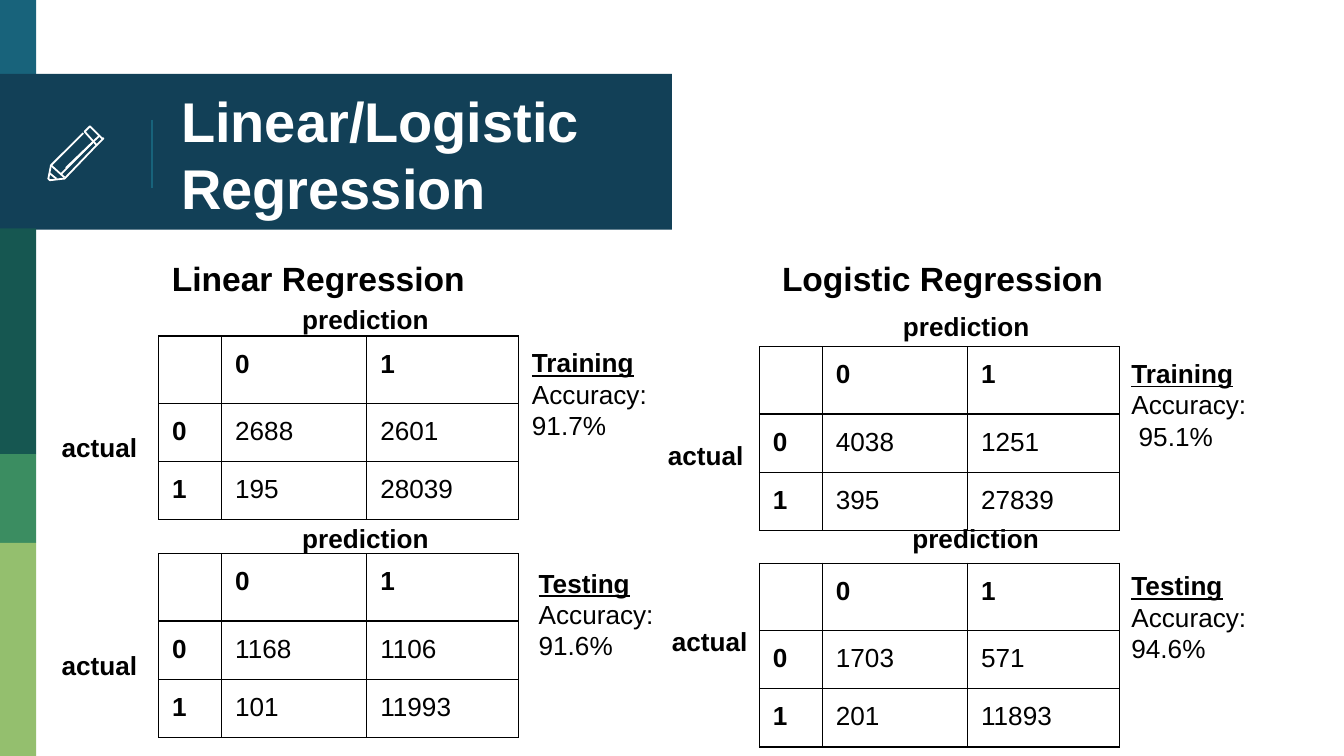
from dataclasses import dataclass

from lxml.etree import SubElement
from pptx import Presentation
from pptx.dml.color import RGBColor
from pptx.enum.shapes import MSO_CONNECTOR, MSO_SHAPE
from pptx.enum.text import MSO_ANCHOR as Anchor
from pptx.oxml import parse_xml
from pptx.oxml.ns import nsdecls, qn
from pptx.util import Inches, Pt


@dataclass(frozen=True)
class Theme:
    font: str = "Arial"
    title: int = 30
    heading: int = 18
    body: int = 14
    white: str = "FFFFFF"
    black: str = "000000"
    navy: str = "124057"
    blue: str = "18637B"
    teal: str = "165751"
    green: str = "3B8D61"
    lime: str = "94BF6E"
    rule: float = 0.75
    icon_line: float = 0.96


@dataclass(frozen=True)
class Band:
    top: float
    width: float
    height: float
    color: str


@dataclass(frozen=True)
class Label:
    text: str
    left: float
    top: float
    width: float
    height: float
    size: int


@dataclass(frozen=True)
class Matrix:
    """A confusion matrix with the places of its labels."""
    phase: str
    accuracy: str
    counts: tuple[tuple[int, int], tuple[int, int]]
    table_at: tuple[float, float]
    prediction_at: tuple[float, float]
    actual_at: tuple[float, float]
    score_at: tuple[float, float]
    row_height: float = 0.3


@dataclass(frozen=True)
class Stroke:
    """Points in hundredths of an inch."""
    points: tuple[tuple[int, int], ...]
    closed: bool = False


T = Theme()
COLUMNS = (0.47, 1.08, 1.13)

BANDS = (
    Band(0, 0.27, 0.58, T.blue),
    Band(0.55, 5, 1.16, T.navy),
    Band(1.7, 0.27, 1.68, T.teal),
    Band(3.38, 0.27, 0.66, T.green),
    Band(4.04, 0.27, 1.59, T.lime),
)

HEADINGS = (
    Label("Linear Regression", 1.18, 1.82, 2.82, 0.52, T.heading),
    Label("Logistic Regression", 5.72, 1.82, 2.82, 0.52, T.heading),
)

MATRICES = (
    Matrix("Testing", "91.6%", ((1168, 1106), (101, 11993)),
           (1.18, 4.12), (2.15, 3.79), (0.36, 4.73), (3.91, 4.12)),
    Matrix("Training", "91.7%", ((2688, 2601), (195, 28039)),
           (1.18, 2.5), (2.15, 2.16), (0.36, 3.11), (3.86, 2.48)),
    Matrix("Testing", "94.6%", ((1703, 571), (201, 11893)),
           (5.65, 4.19), (6.69, 3.79), (4.9, 4.55), (8.32, 4.14)),
    Matrix("Training", " 95.1%", ((4038, 1251), (395, 27839)),
           (5.65, 2.58), (6.62, 2.21), (4.87, 3.17), (8.32, 2.56), 0.41),
)

PENCIL = (
    Stroke(((76, 103), (68, 95), (67, 94), (66, 95), (63, 98),
            (72, 108), (76, 104), (77, 103)), closed=True),
    Stroke(((69, 106), (45, 130))),
    Stroke(((62, 99), (38, 123), (36, 133), (37, 134), (38, 134),
            (47, 133), (48, 133), (72, 108))),
    Stroke(((74, 101), (49, 125))),
    Stroke(((37, 129), (42, 133))),
    Stroke(((38, 123), (48, 132))),
)


def rgb(color: str) -> RGBColor:
    return RGBColor.from_string(color)


def style(p, size: int, color: str = T.black, bold: bool = True,
          underline: bool = False) -> None:
    f = p.font
    f.name, f.size, f.bold, f.underline = T.font, Pt(size), bold, underline
    f.color.rgb = rgb(color)


def set_insets(box) -> None:
    box.margin_left = box.margin_right = Inches(0.1)
    box.margin_top = box.margin_bottom = Inches(0.1)


def add_text_frame(s, left: float, top: float, width: float, height: float):
    tf = s.shapes.add_textbox(*map(Inches, (left, top, width, height))).text_frame
    tf.word_wrap = True
    set_insets(tf)
    return tf


def draw_label(s, label: Label, color: str = T.black, anchor: Anchor = Anchor.TOP) -> None:
    tf = add_text_frame(s, label.left, label.top, label.width, label.height)
    tf.vertical_anchor = anchor
    p = tf.paragraphs[0]
    p.text = label.text
    style(p, label.size, color)


def draw_band(s, band: Band) -> None:
    sp = s.shapes.add_shape(MSO_SHAPE.RECTANGLE, 0, Inches(band.top),
                            Inches(band.width), Inches(band.height))
    sp.shadow.inherit = False
    sp.fill.solid()
    sp.fill.fore_color.rgb = rgb(band.color)
    sp.line.fill.background()


def draw_divider(s, x: float, top: float, bottom: float) -> None:
    line = s.shapes.add_connector(MSO_CONNECTOR.STRAIGHT, Inches(x), Inches(top),
                                  Inches(x), Inches(bottom))
    line.line.color.rgb = rgb(T.blue)
    line.line.width = Pt(T.rule)
    SubElement(line._element.spPr, qn("a:effectLst"))


def draw_stroke(s, stroke: Stroke) -> None:
    builder = s.shapes.build_freeform(*stroke.points[0], scale=Inches(0.01))
    builder.add_line_segments(stroke.points[1:], close=stroke.closed)
    sp = builder.convert_to_shape()
    sp.shadow.inherit = False
    sp.fill.background()
    sp.line.color.rgb = rgb(T.white)
    sp.line.width = Pt(T.icon_line)


def add_borders(cell) -> None:
    tc_pr = cell._tc.get_or_add_tcPr()
    for i, side in enumerate("LRTB"):
        tc_pr.insert(i, parse_xml(
            f'<a:ln{side} {nsdecls("a")} w="{Pt(T.rule)}"><a:solidFill>'
            f'<a:srgbClr val="{T.black}"/></a:solidFill></a:ln{side}>'))


def draw_table(s, m: Matrix) -> None:
    size = (sum(COLUMNS), 3 * m.row_height)
    table = s.shapes.add_table(3, 3, *map(Inches, m.table_at + size)).table
    table.first_row = table.horz_banding = False
    for column, width in zip(table.columns, COLUMNS):
        column.width = Inches(width)
    values = (("", 0, 1), (0, *m.counts[0]), (1, *m.counts[1]))
    for r, row_values in enumerate(values):
        for c, value in enumerate(row_values):
            cell = table.cell(r, c)
            cell.fill.background()
            set_insets(cell)
            add_borders(cell)
            if value == "":
                continue
            p = cell.text_frame.paragraphs[0]
            p.text = str(value)
            style(p, T.body, bold=r == 0 or c == 0)


def draw_matrix(s, m: Matrix) -> None:
    draw_table(s, m)
    draw_label(s, Label("prediction", *m.prediction_at, 1.63, 0.29, T.body))
    draw_label(s, Label("actual", *m.actual_at, 0.78, 0.4, T.body))
    tf = add_text_frame(s, *m.score_at, 1.24, 0.67)
    tf.text = "\n".join((m.phase, "Accuracy:", m.accuracy))
    for i, p in enumerate(tf.paragraphs):
        style(p, T.body, bold=i == 0, underline=i == 0)


def main() -> None:
    prs = Presentation()
    prs.slide_width = Inches(10)
    prs.slide_height = prs.slide_width * 9 // 16
    s = prs.slides.add_slide(prs.slide_layouts[6])
    for band in BANDS:
        draw_band(s, band)
    draw_divider(s, 1.13, 0.89, 1.4)
    title = Label("Linear/Logistic Regression", 1.25, 0.58, 4.23, 1.12, T.title)
    draw_label(s, title, T.white, Anchor.MIDDLE)
    for stroke in PENCIL:
        draw_stroke(s, stroke)
    for matrix in MATRICES:
        draw_matrix(s, matrix)
    for heading in HEADINGS:
        draw_label(s, heading)
    prs.save("out.pptx")


if __name__ == "__main__":
    main()
